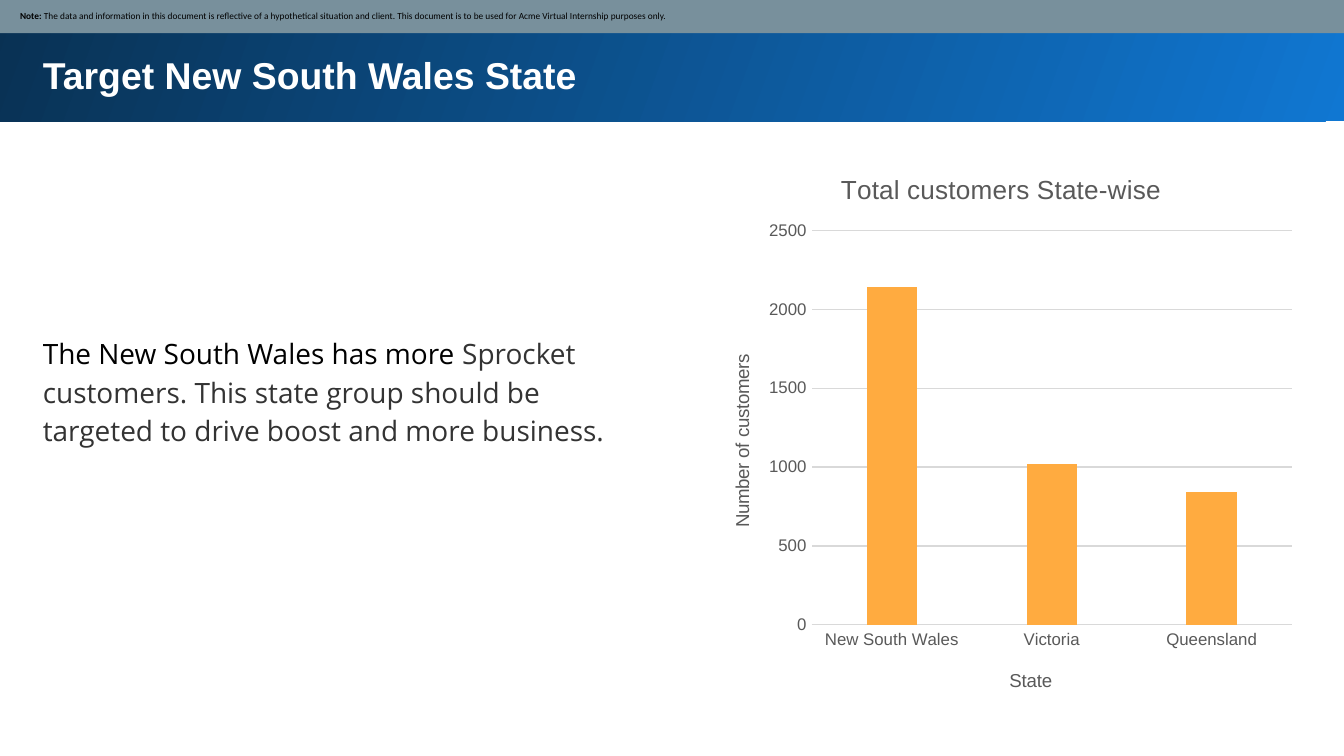
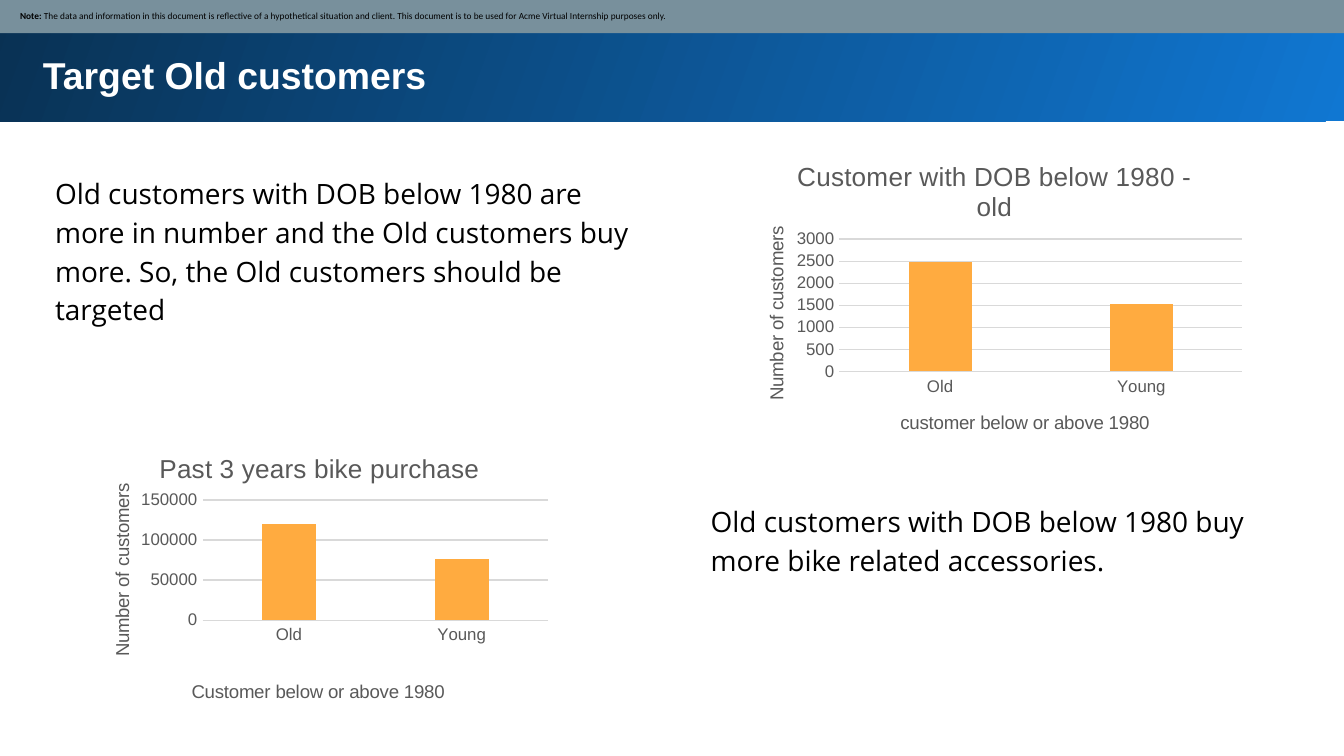
from dataclasses import dataclass

from lxml import etree
from pptx import Presentation
from pptx.chart.data import CategoryChartData
from pptx.dml.color import RGBColor
from pptx.enum.chart import XL_CHART_TYPE, XL_TICK_MARK
from pptx.enum.shapes import MSO_SHAPE
from pptx.enum.text import MSO_ANCHOR, MSO_AUTO_SIZE, PP_ALIGN
from pptx.oxml.ns import qn
from pptx.util import Cm, Pt

COLUMNS = XL_CHART_TYPE.COLUMN_CLUSTERED
NO_TICK = XL_TICK_MARK.NONE
RECTANGLE = MSO_SHAPE.RECTANGLE
TOP, MIDDLE = MSO_ANCHOR.TOP, MSO_ANCHOR.MIDDLE
GROW, FIXED = MSO_AUTO_SIZE.SHAPE_TO_FIT_TEXT, MSO_AUTO_SIZE.NONE
LEFT = PP_ALIGN.LEFT


@dataclass(frozen=True)
class Theme:
    heading_font: str = "Arial"
    body_font: str = "Open Sans"
    note_font: str = "Calibri"
    white: str = "FFFFFF"
    black: str = "000000"
    dark: str = "333333"
    axis: str = "595959"
    grid: str = "D9D9D9"
    bar: str = "FFAB40"
    band_light: str = "1077D2"
    band_dark: str = "093153"
    note_band: str = "78909C"
    title_size: float = 20
    body_size: float = 15
    note_size: float = 5
    chart_title_size: float = 14
    axis_title_size: float = 10
    tick_size: float = 9


theme = Theme()
color = RGBColor.from_string


def write(frame, runs, font, size, spacing=1.0):
    para = frame.paragraphs[0]
    para.alignment = LEFT
    para.line_spacing = spacing
    para.space_before = Pt(0)
    for text, ink, bold in runs:
        span = para.add_run()
        span.text = text
        span.font.name = font
        span.font.size = Pt(size)
        span.font.bold = bold
        span.font.color.rgb = color(ink)


def place(element, index, **fractions):
    for old in element.findall(qn("c:layout")):
        element.remove(old)
    layout = etree.Element(qn("c:layout"))
    manual = etree.SubElement(layout, qn("c:manualLayout"))
    settings = {"xMode": "edge", "yMode": "edge", **fractions}
    if "w" in fractions:
        settings = {"layoutTarget": "inner", **settings}
    for name, value in settings.items():
        etree.SubElement(manual, qn(f"c:{name}")).set("val", str(value))
    element.insert(index, layout)


note_runs = [
    ("Note: ", theme.black, True),
    ("The data and information in this document is reflective of a hypothetical "
     "situation and client. This document is to be used for Acme Virtual "
     "Internship purposes only.", theme.black, False),
]

pages = [
    {
        "title": "Target New South Wales State",
        "layout": 1,
        "bodies": [
            ((0.56, 6.02, 11.48, 2.67), [
                ("The New South Wales has more ", theme.black, False),
                ("Sprocket customers. This state group should be targeted to "
                 "drive boost and more business.", theme.dark, False),
            ]),
        ],
        "charts": [
            {
                "at": (13.16, 2.74, 11.48, 10.8),
                "title": "Total customers State-wise",
                "category": "State",
                "values": {"New South Wales": 2140, "Victoria": 1020, "Queensland": 840},
                "scale": (2500, 500),
                "plot": (0.19, 0.15, 0.79, 0.69),
                "titles": ((0.23, 0.04), (0.51, 0.91), (0.05, 0.36)),
            },
        ],
    },
    {
        "title": "Target Old customers",
        "layout": 3,
        "bodies": [
            ((0.79, 3, 11.48, 3.4), [
                ("Old customers with DOB below 1980 are more in number and the Old "
                 "customers buy more. So, the Old customers should be targeted",
                 theme.black, False),
            ]),
            ((13.18, 9.19, 11.48, 1.93), [
                ("Old customers with DOB below 1980 buy more bike related accessories.",
                 theme.black, False),
            ]),
        ],
        "charts": [
            {
                "at": (13.79, 2.57, 9.88, 6.1),
                "title": "Customer with DOB below 1980 - old",
                "category": "customer below or above 1980",
                "values": {"Old": 2480, "Young": 1520},
                "scale": (3000, 500),
                "plot": (0.21, 0.32, 0.77, 0.41),
                "titles": ((0.12, 0.06), (0.32, 0.84), (0.06, 0.27)),
            },
            {
                "at": (1.47, 8.08, 9.07, 5.31),
                "title": "Past 3 years bike purchase",
                "category": "Customer below or above 1980",
                "values": {"Old": 120000, "Young": 76000},
                "scale": (150000, 50000),
                "plot": (0.26, 0.26, 0.72, 0.43),
                "titles": ((0.16, 0.07), (0.23, 0.89), (0.06, 0.19)),
            },
        ],
    },
]

deck = Presentation()
deck.slide_width = Cm(25.4)
deck.slide_height = Cm(14.29)

for content in pages:
    page = deck.slides.add_slide(deck.slide_layouts[content["layout"]])
    page.background.fill.solid()
    page.background.fill.fore_color.rgb = color(theme.white)

    band = page.shapes.add_shape(RECTANGLE, Cm(-0.05), Cm(-0.05), Cm(25.53), Cm(2.34))
    band.shadow.inherit = False
    band.line.fill.background()
    band.fill.gradient()
    band.fill.gradient_angle = 160
    for stop, ink in zip(band.fill.gradient_stops, (theme.band_light, theme.band_dark)):
        stop.color.rgb = color(ink)
    page.shapes._spTree.insert(2, band._element)

    title_runs = [(content["title"], theme.white, True)]
    texts = [((0.56, 0.74, 23.8, 1.37), title_runs,
              theme.heading_font, theme.title_size, 1.0)]
    for at, runs in content["bodies"]:
        texts.append((at, runs, theme.body_font, theme.body_size, 1.15))
    for box, (at, runs, font, size, spacing) in zip(page.placeholders, texts):
        box.left, box.top, box.width, box.height = map(Cm, at)
        frame = box.text_frame
        frame.word_wrap = True
        frame.auto_size = GROW
        frame.vertical_anchor = TOP
        frame.margin_left = frame.margin_right = Cm(0.25)
        frame.margin_top = frame.margin_bottom = Cm(0.25)
        write(frame, runs, font, size, spacing)
        properties = frame.paragraphs[0]._p.get_or_add_pPr()
        properties.set("marL", "0")
        properties.set("indent", "0")
        etree.SubElement(properties, qn("a:buNone"))

    note = page.shapes.add_shape(RECTANGLE, Cm(-0.03), Cm(-0.03), Cm(25.48), Cm(0.66))
    note.shadow.inherit = False
    note.line.fill.background()
    note.fill.solid()
    note.fill.fore_color.rgb = color(theme.note_band)
    frame = note.text_frame
    frame.word_wrap = True
    frame.auto_size = FIXED
    frame.vertical_anchor = MIDDLE
    frame.margin_left = Cm(0.41)
    frame.margin_right = frame.margin_top = frame.margin_bottom = Cm(0.13)
    write(frame, note_runs, theme.note_font, theme.note_size)

    for figure in content["charts"]:
        data = CategoryChartData()
        data.categories = list(figure["values"])
        data.add_series("Series 1", list(figure["values"].values()))
        chart = page.shapes.add_chart(COLUMNS, *map(Cm, figure["at"]), data).chart
        chart.has_legend = False
        chart.font.name = theme.heading_font
        chart.font.size = Pt(theme.axis_title_size)
        chart.font.color.rgb = color(theme.black)

        plot = chart.plots[0]
        plot.vary_by_categories = False
        plot.gap_width = 219
        plot.overlap = -27
        bars = plot.series[0].format.fill
        bars.solid()
        bars.fore_color.rgb = color(theme.bar)

        categories, values = chart.category_axis, chart.value_axis
        for axis in (categories, values):
            axis.major_tick_mark = axis.minor_tick_mark = NO_TICK
            axis.tick_labels.font.name = theme.heading_font
            axis.tick_labels.font.size = Pt(theme.tick_size)
            axis.tick_labels.font.color.rgb = color(theme.axis)
        values.minimum_scale = 0
        values.maximum_scale, values.major_unit = figure["scale"]
        values.has_major_gridlines = True
        values.format.line.fill.background()
        for line in (categories.format.line, values.major_gridlines.format.line):
            line.color.rgb = color(theme.grid)
            line.width = Pt(0.75)

        headings = (
            (chart.chart_title, figure["title"], theme.chart_title_size),
            (categories.axis_title, figure["category"], theme.axis_title_size),
            (values.axis_title, "Number of customers", theme.axis_title_size),
        )
        for (heading, text, size), (x, y) in zip(headings, figure["titles"]):
            write(heading.text_frame, [(text, theme.axis, False)],
                  theme.heading_font, size)
            heading.text_frame.paragraphs[0].alignment = PP_ALIGN.CENTER
            place(heading._element, 1, x=x, y=y)
        turned = values.axis_title.text_frame._txBody.find(qn("a:bodyPr"))
        turned.set("rot", "-5400000")
        turned.set("vert", "horz")
        x, y, w, h = figure["plot"]
        place(chart._chartSpace.chart.plotArea, 0, x=x, y=y, w=w, h=h)

    for box in list(page.placeholders):
        if not box.text_frame.text:
            box._element.getparent().remove(box._element)

deck.save("out.pptx")
